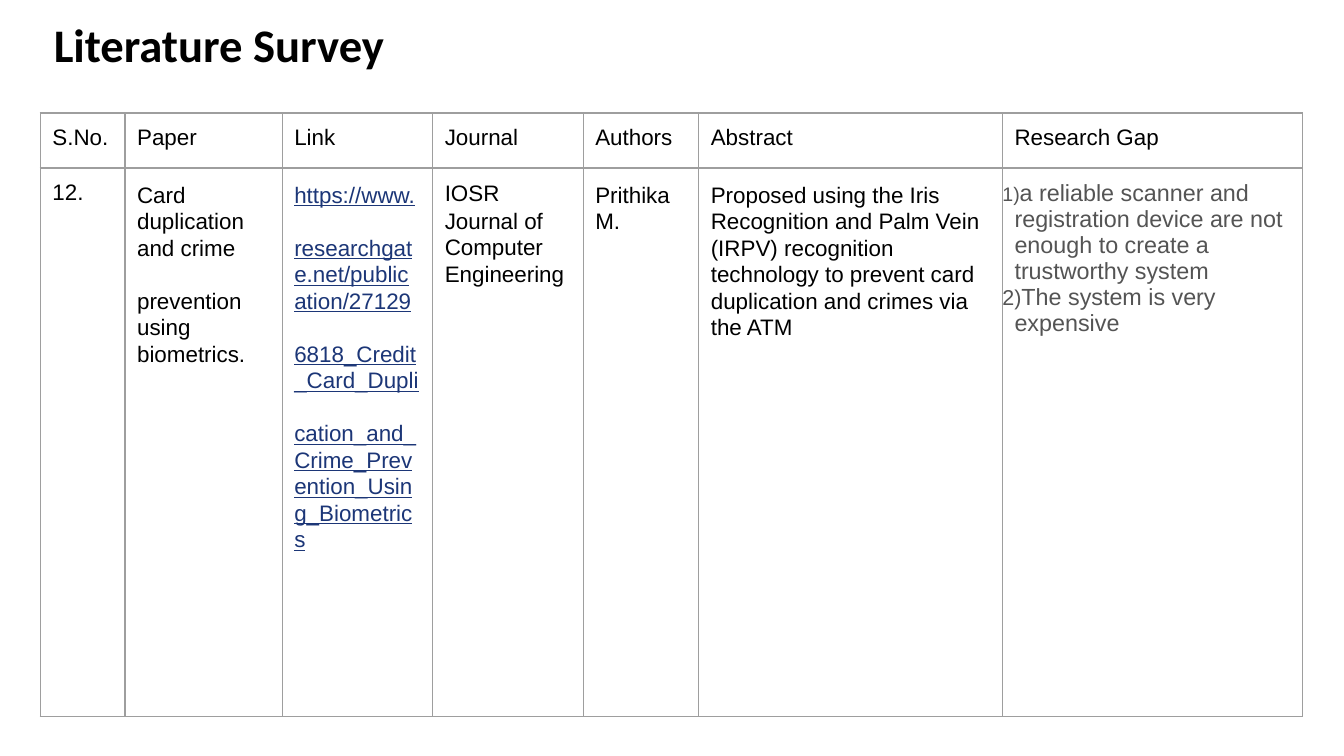
from dataclasses import dataclass

from lxml.etree import SubElement
from pptx import Presentation
from pptx.dml.color import RGBColor
from pptx.enum.text import MSO_ANCHOR as Anchor, MSO_AUTO_SIZE as Fit, PP_ALIGN as Align
from pptx.oxml.ns import qn
from pptx.table import _Cell as Cell
from pptx.text.text import _Paragraph as Para
from pptx.util import Inches, Pt

BLACK = RGBColor(0, 0, 0)
BLUE = RGBColor(0x1C, 0x36, 0x77)
GREY = RGBColor(0x54, 0x54, 0x54)
RULE = RGBColor(0x9E, 0x9E, 0x9E)

WIDTH = Inches(10)
HEIGHT = WIDTH * 9 // 16

COLS = (0.63, 1.17, 1.12, 1.12, 0.86, 2.26, 2.23)
ROWS = (0.41, 4.08)
PAD = 0.09
LINE = 14.2


@dataclass(frozen=True)
class Entry:
    """Contents of one cell; gap is the space before each later paragraph."""
    text: str
    top: float = PAD
    line: float | None = None
    gap: float = 0
    size: float = 12
    color: RGBColor = BLACK
    under: bool = False
    marks: tuple[int, ...] = ()


HEAD = [Entry(name) for name in (
    "S.No.", "Paper", "Link", "Journal", "Authors", "Abstract", "Research Gap")]

STUDY = [
    Entry("12."),
    Entry("Card\vduplication\vand crime\nprevention using biometrics.",
          0.1, LINE, LINE),
    Entry("https://www.\nresearchgat e.net/public ation/27129\n"
          "6818_Credit _Card_Dupli\n"
          "cation_and_ Crime_Prev ention_Usin g_Biometric\vs",
          0.1, LINE, LINE, color=BLUE, under=True),
    Entry("IOSR\nJournal of Computer Engineering", PAD, LINE, 0.6),
    Entry("Prithika\vM.", 0.1, LINE),
    Entry("Proposed using the Iris\vRecognition and Palm Vein\v"
          "(IRPV) recognition\vtechnology to prevent card\v"
          "duplication and crimes via\vthe ATM", 0.1, LINE),
    Entry("a reliable scanner and registration device are not "
          "enough to create a trustworthy system\n"
          "The system is very expensive",
          size=12.5, color=GREY, marks=(84, 92)),
]


def indent(para: Para, left: float, mark: int | None = None) -> None:
    """Set the left margin; a mark gives a hanging number of that size in percent."""
    props = para._p.get_or_add_pPr()
    props.set("marL", str(Inches(left)))
    props.set("indent", str(-Inches(left) if mark else 0))
    if mark:
        SubElement(props, qn("a:buSzPct"), val=str(mark * 1000))
        SubElement(props, qn("a:buFont"), typeface="Arial")
        SubElement(props, qn("a:buAutoNum"), type="arabicParenR")


def border(cell: Cell) -> None:
    props = cell._tc.get_or_add_tcPr()
    for spot, side in enumerate(("lnL", "lnR", "lnT", "lnB")):
        line = SubElement(props, qn(f"a:{side}"), w=str(Pt(0.75)))
        fill = SubElement(line, qn("a:solidFill"))
        SubElement(fill, qn("a:srgbClr"), val=str(RULE))
        props.insert(spot, line)


def write(cell: Cell, entry: Entry) -> None:
    cell.fill.background()
    border(cell)
    cell.margin_left = cell.margin_right = cell.margin_bottom = 0
    cell.margin_top = Inches(entry.top)
    cell.text_frame.text = entry.text
    for num, para in enumerate(cell.text_frame.paragraphs):
        indent(para, PAD, entry.marks[num] if entry.marks else None)
        if entry.line:
            para.line_spacing = Pt(entry.line)
        if num:
            para.space_before = Pt(entry.gap)
        for run in para.runs:
            font = run.font
            font.name, font.size = "Arial", Pt(entry.size)
            font.color.rgb = entry.color
            font.underline = entry.under


def main() -> None:
    deck = Presentation()
    deck.slide_width, deck.slide_height = WIDTH, HEIGHT
    slide = deck.slides.add_slide(deck.slide_layouts[5])

    title = slide.shapes.title
    title.left, title.top = Inches(0.39), Inches(0.11)
    title.width, title.height = Inches(2.5), Inches(0.44)
    frame = title.text_frame
    frame.text = "Literature Survey"
    frame.margin_left = frame.margin_right = frame.margin_bottom = 0
    frame.margin_top = Inches(0.01)
    frame.vertical_anchor = Anchor.TOP
    frame.auto_size = Fit.NONE
    frame.word_wrap = False
    para = frame.paragraphs[0]
    para.alignment = Align.LEFT
    indent(para, 0.01)
    font = para.runs[0].font
    font.name, font.size, font.bold = "Calibri", Pt(25), True
    font.color.rgb = BLACK

    table = slide.shapes.add_table(
        len(ROWS), len(COLS), Inches(0.3), Inches(0.84),
        Inches(sum(COLS)), Inches(sum(ROWS))).table
    table.first_row = table.horz_banding = False
    for col, width in zip(table.columns, COLS):
        col.width = Inches(width)
    for row, height, data in zip(table.rows, ROWS, (HEAD, STUDY)):
        row.height = Inches(height)
        for cell, entry in zip(row.cells, data):
            write(cell, entry)

    deck.save("out.pptx")


if __name__ == "__main__":
    main()
